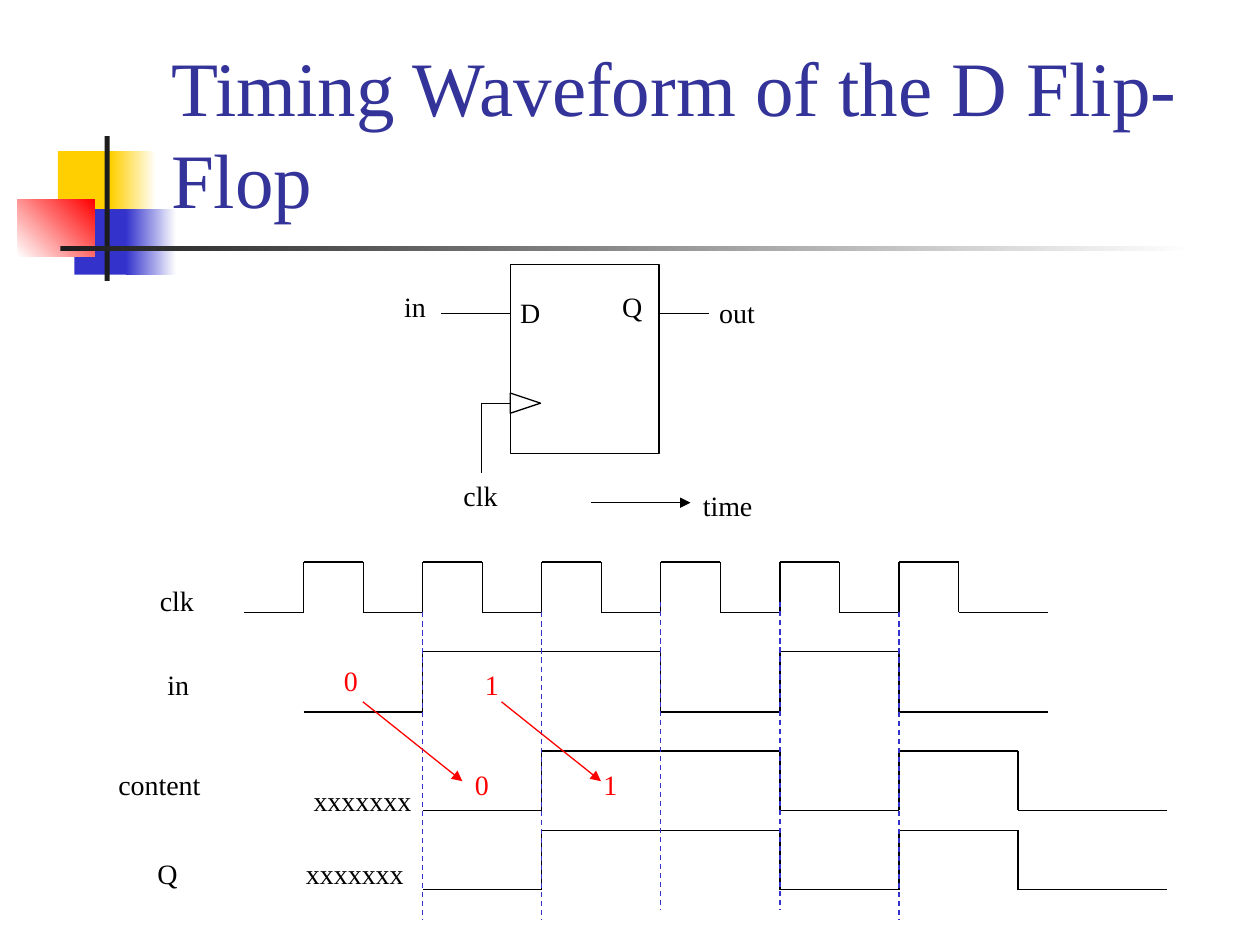
"""Build the slide on the timing waveform of the D flip-flop."""
from dataclasses import dataclass
from itertools import pairwise

from lxml.etree import SubElement as Sub
from pptx import Presentation
from pptx.dml.color import RGBColor as Rgb
from pptx.enum.dml import MSO_LINE_DASH_STYLE as Dash
from pptx.enum.shapes import MSO_AUTO_SHAPE_TYPE as Form, MSO_CONNECTOR as Link
from pptx.enum.text import MSO_ANCHOR as Anchor, MSO_AUTO_SIZE as Fit
from pptx.oxml.ns import qn
from pptx.shapes.autoshape import Shape
from pptx.util import Inches, Pt


@dataclass(frozen=True)
class Theme:
    font: str = "Times New Roman"
    head: int = 44
    body: int = 16
    line: float = 0.74
    title: str = "333399"
    ink: str = "000000"
    mark: str = "FF0000"
    blue: str = "3333CC"
    gold: str = "FFCF01"
    dark: str = "1C1C1C"
    white: str = "FFFFFF"


@dataclass(frozen=True)
class Block:
    box: tuple[float, float, float, float]
    fill: str
    fade: str | None = None
    angle: int = 0


@dataclass(frozen=True)
class Label:
    text: str
    left: float
    top: float
    width: float
    color: str


@dataclass(frozen=True)
class Wave:
    start: float
    edges: tuple[int, ...]
    end: float
    low: float
    high: float


theme = Theme()
ORIGIN = 2.41
HALF = (8.08 - ORIGIN) / 12

deck = Presentation()
deck.slide_width, deck.slide_height = Inches(10), Inches(7.5)
slide = deck.slides.add_slide(deck.slide_layouts[6])
shapes = slide.shapes


def tick(step: float) -> float:
    return ORIGIN + step * HALF


def add_form(form: Form, box: tuple[float, float, float, float]) -> Shape:
    shape = shapes.add_shape(form, *map(Inches, box))
    shape.shadow.inherit = False
    return shape


def add_block(block: Block) -> None:
    shape = add_form(Form.RECTANGLE, block.box)
    shape.line.fill.background()
    if block.fade is None:
        shape.fill.solid()
        shape.fill.fore_color.rgb = Rgb.from_string(block.fill)
        return
    shape.fill.gradient()
    shape.fill.gradient_angle = block.angle
    for stop, color in zip(shape.fill.gradient_stops, (block.fill, block.fade)):
        stop.color.rgb = Rgb.from_string(color)


def add_frame(form: Form, box: tuple[float, float, float, float], turn: int = 0) -> None:
    shape = add_form(form, box)
    shape.rotation = turn
    shape.fill.background()
    shape.line.color.rgb = Rgb.from_string(theme.ink)
    shape.line.width = Pt(theme.line)


def add_line(start: tuple[float, float], end: tuple[float, float],
             color: str = theme.ink, dash: bool = False, arrow: bool = False) -> None:
    line = shapes.add_connector(Link.STRAIGHT, *map(Inches, start + end))
    line.line.color.rgb = Rgb.from_string(color)
    line.line.width = Pt(theme.line)
    if dash:
        line.line.dash_style = Dash.DASH
    if arrow:
        Sub(line.line._get_or_add_ln(), qn("a:tailEnd"), type="triangle")
    Sub(line._element.spPr, qn("a:effectLst"))


def add_text(text: str, left: float, top: float, width: float, *, height: float = 0.37,
             size: int = theme.body, color: str = theme.ink, wrap: bool = False,
             anchor: Anchor = Anchor.TOP) -> None:
    frame = shapes.add_textbox(*map(Inches, (left, top, width, height))).text_frame
    frame.word_wrap = wrap
    frame.auto_size = Fit.NONE if wrap else Fit.SHAPE_TO_FIT_TEXT
    frame.vertical_anchor = anchor
    run = frame.paragraphs[0].add_run()
    run.text = text
    run.font.name = theme.font
    run.font.size = Pt(size)
    run.font.color.rgb = Rgb.from_string(color)


def add_wave(wave: Wave) -> None:
    level, other = wave.low, wave.high
    for left, right in pairwise((wave.start, *wave.edges, wave.end)):
        add_line((tick(left), level), (tick(right), level))
        if right != wave.end:
            add_line((tick(right), level), (tick(right), other))
            level, other = other, level


BLOCKS = (
    Block((0.46, 1.2, 0.48, 0.52), theme.gold),
    Block((0.88, 1.2, 0.36, 0.52), theme.gold, theme.white),
    Block((0.59, 1.66, 0.46, 0.52), theme.blue),
    Block((1, 1.66, 0.4, 0.52), theme.blue, theme.white),
    Block((0.14, 1.58, 0.61, 0.46), theme.white, theme.mark, 45),
    Block((0.83, 1.08, 0.04, 1.15), theme.dark),
    Block((0.48, 1.95, 9, 0.04), theme.dark, theme.white),
)
WIRES = (
    ((5.23, 2.49), (5.63, 2.49)),
    ((4.05, 2.49), (3.5, 2.49)),
    ((4.05, 3.2), (3.82, 3.2)),
    ((3.82, 3.2), (3.82, 3.75)),
)
WAVES = (
    Wave(-1, tuple(range(12)), 12.5, 4.86, 4.46),
    Wave(0, (2, 6, 8, 10), 12.5, 5.65, 5.17),
    Wave(2, (4, 8, 10, 12), 14.5, 6.43, 5.96),
    Wave(2, (4, 8, 10, 12), 14.5, 7.06, 6.59),
)
GUIDES = {2: 4.86, 4: 4.86, 6: 4.78, 8: 4.78, 10: 4.86}
LABELS = (
    Label("D", 4.03, 2.3, 0.36, theme.ink),
    Label("Q", 4.84, 2.25, 0.36, theme.ink),
    Label("in", 3.11, 2.25, 0.37, theme.ink),
    Label("out", 5.61, 2.3, 0.48, theme.ink),
    Label("clk", 3.58, 3.75, 0.47, theme.ink),
    Label("time", 5.48, 3.83, 0.6, theme.ink),
    Label("clk", 1.17, 4.58, 0.47, theme.ink),
    Label("in", 1.23, 5.25, 0.37, theme.ink),
    Label("content", 0.84, 6.04, 0.85, theme.ink),
    Label("Q", 1.15, 6.75, 0.36, theme.ink),
    Label("xxxxxxx", 2.39, 6.17, 0.98, theme.ink),
    Label("xxxxxxx", 2.33, 6.75, 0.98, theme.ink),
    Label("0", 2.63, 5.22, 0.31, theme.mark),
    Label("0", 3.67, 6.04, 0.31, theme.mark),
    Label("1", 3.75, 5.25, 0.31, theme.mark),
    Label("1", 4.69, 6.04, 0.31, theme.mark),
)

for block in BLOCKS:
    add_block(block)
add_text("Timing Waveform of the D Flip-Flop", 1.26, 0.23, 8.52, height=1.6,
         size=theme.head, color=theme.title, wrap=True, anchor=Anchor.BOTTOM)
add_frame(Form.RECTANGLE, (4.05, 2.1, 1.18, 1.5))
add_frame(Form.ISOSCELES_TRIANGLE, (4.09, 3.08, 0.16, 0.24), 90)
for start, end in WIRES:
    add_line(start, end)
add_line((4.69, 3.99), (5.48, 3.99), arrow=True)
for wave in WAVES:
    add_wave(wave)
for step, top in GUIDES.items():
    add_line((tick(step), top), (tick(step), top + 2.44), theme.blue, dash=True)
for label in LABELS:
    add_text(label.text, label.left, label.top, label.width, color=label.color)
for left in (2.88, 3.98):
    add_line((left, 5.57), (left + 0.79, 6.2), theme.mark, arrow=True)

deck.save("out.pptx")
